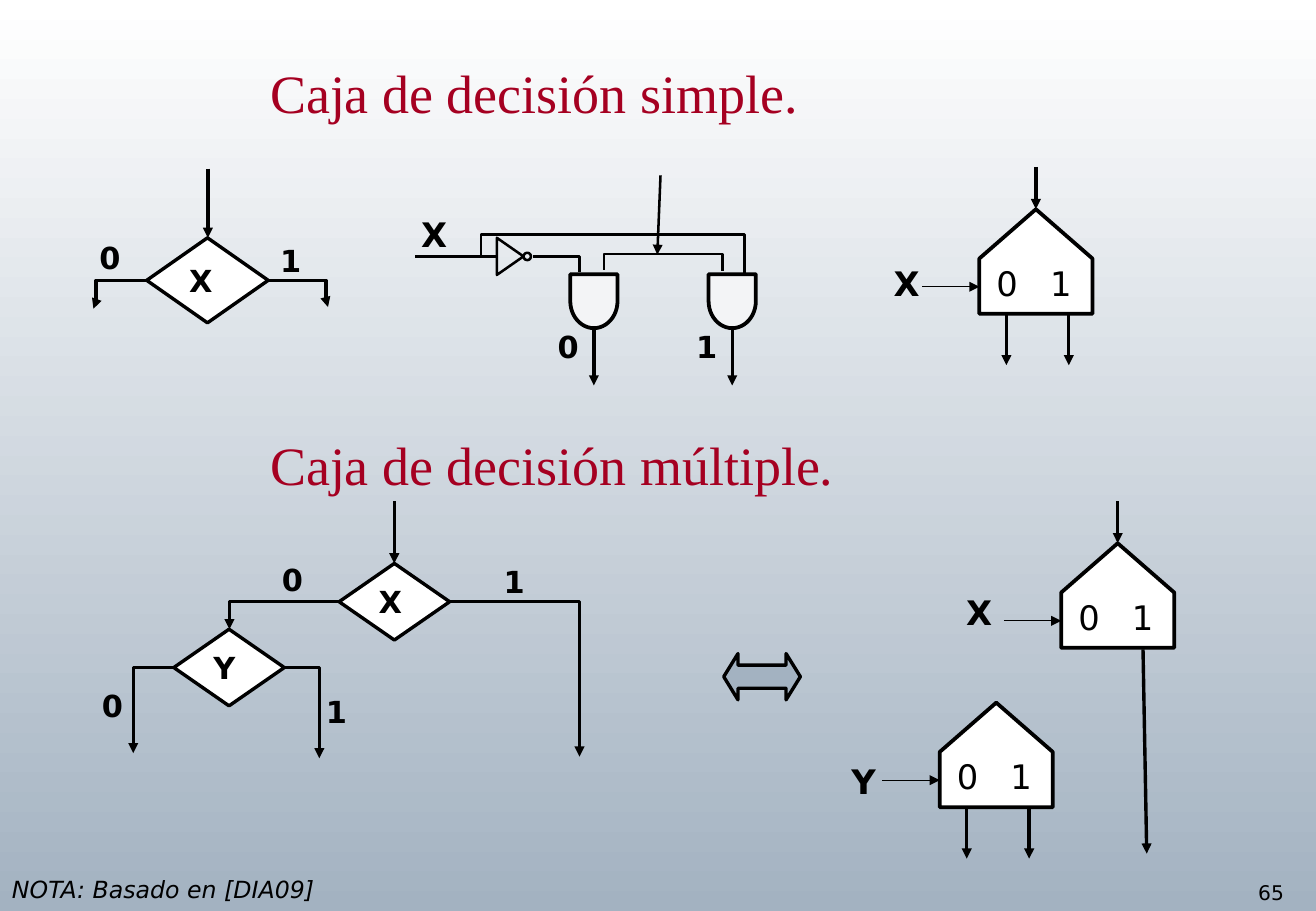
from lxml.etree import SubElement
from pptx import Presentation
from pptx.dml.color import RGBColor
from pptx.enum.shapes import MSO_CONNECTOR as Link, MSO_SHAPE as Preset
from pptx.enum.text import MSO_ANCHOR as Anchor, PP_ALIGN as Align
from pptx.oxml.ns import qn
from pptx.util import Pt

BLACK, WHITE, RED, STEEL = "000000", "FFFFFF", "A50021", "A3B2C1"


def color(value):
    return RGBColor.from_string(value)


def write(frame, text, size, shade=BLACK, font="DejaVu Sans", bold=False, italic=False):
    frame.text = text
    para = frame.paragraphs[0]
    para.alignment = Align.LEFT
    for span in para.runs:
        span.font.name, span.font.size = font, Pt(size)
        span.font.bold, span.font.italic = bold, italic
        span.font.color.rgb = color(shade)
    return para


def add_text(page, text, left, top, width=32, height=29, size=18, **style):
    box = page.shapes.add_textbox(Pt(left), Pt(top), Pt(width), Pt(height))
    box.text_frame.word_wrap = True
    return write(box.text_frame, text, size, **style)


def outline(shape, fill, weight):
    shape.shadow.inherit = False
    if fill:
        shape.fill.solid()
        shape.fill.fore_color.rgb = color(fill)
    else:
        shape.fill.background()
    shape.line.color.rgb = color(BLACK)
    shape.line.width = Pt(weight)


def add_preset(page, preset, left, top, width, height, fill=WHITE, weight=2.25):
    shape = page.shapes.add_shape(preset, Pt(left), Pt(top), Pt(width), Pt(height))
    outline(shape, fill, weight)
    return shape


def add_path(page, left, top, points, closed=False):
    corners = [(Pt(left + x), Pt(top + y)) for x, y in points]
    builder = page.shapes.build_freeform(*corners[0], scale=1.0)
    builder.add_line_segments(corners[1:], close=closed)
    outline(builder.convert_to_shape(), None, 1.5)


def add_wire(page, left, top, start, end, weight=2, arrow=True, kind=Link.STRAIGHT):
    ends = [Pt(left + start[0]), Pt(top + start[1]), Pt(left + end[0]), Pt(top + end[1])]
    wire = page.shapes.add_connector(kind, *ends)
    wire.line.color.rgb = color(BLACK)
    wire.line.width = Pt(weight)
    if arrow:
        SubElement(wire.line._get_or_add_ln(), qn("a:tailEnd"), type="triangle")
    SubElement(wire._element.spPr, qn("a:effectLst"))
    return wire


def add_elbow(page, left, top, start, end, turn=None, **style):
    """Wire that runs sideways, then down; turn is the share of the width before a late bend."""
    wire = add_wire(page, left, top, start, end, kind=Link.ELBOW, **style)
    geometry = wire._element.spPr.find(qn("a:prstGeom"))
    if turn is None:
        geometry.set("prst", "bentConnector2")
    else:
        guides = geometry.find(qn("a:avLst"))
        SubElement(guides, qn("a:gd"), name="adj1", fmla=f"val {round(turn * 100000)}")


def add_decision(page, name, left, top, width, height):
    diamond = add_preset(page, Preset.FLOWCHART_DECISION, left, top, width, height, weight=2)
    frame = diamond.text_frame
    frame.word_wrap = False
    frame.vertical_anchor = Anchor.MIDDLE
    write(frame, name, 18, bold=True)


def add_digits(page, left, top, digits):
    for text, x, y in digits:
        add_text(page, text, left + x, top + y, bold=True)


def simple_flowchart(page, left, top):
    add_decision(page, "X", left + 37, top + 41, 72, 50.4)
    add_wire(page, left, top, (73.2, 0), (73.2, 41))
    add_elbow(page, left, top, (37, 66.2), (5.4, 83), turn=0.95)
    add_elbow(page, left, top, (109, 66.2), (144.4, 82), turn=0.965)
    add_digits(page, left, top, [("0", 1.8, 38), ("1", 109, 40)])


def gate_circuit(page, left, top):
    """Inverter and two gates that steer the entry by X."""
    add_text(page, "X", left + 2.6, top + 23, size=20, bold=True)
    add_wire(page, left, top, (6, 52), (54.5, 52), weight=1.5, arrow=False)
    add_path(page, left, top, [(54.5, 41), (70.3, 52), (54.5, 63)], closed=True)
    add_preset(page, Preset.OVAL, left + 70.3, top + 49.8, 4.4, 4.4, fill=None, weight=1.5)
    add_elbow(page, left, top, (76, 52), (103.4, 61.5), weight=1.5, arrow=False)
    add_path(page, left, top, [(45, 52), (45, 39), (201.2, 39), (201.2, 63)])
    add_path(page, left, top, [(118, 60), (118, 50.5), (188.2, 50.5), (188.2, 60.5)])
    add_wire(page, left, top, (151.5, 4), (149.6, 51), weight=1.5)
    for digit, center in (("0", 112), ("1", 194)):
        gate = add_preset(page, Preset.FLOWCHART_DELAY, left + center - 16, top + 64.5, 32, 28)
        gate.rotation = 90
        gate.fill.fore_color.rgb = color("F3F4F6")
        add_wire(page, left, top, (center, 95), (center, 128.5))
        add_digits(page, left, top, [(digit, center - 28.5, 91)])


def selector(page, left, top, name, name_at, entry=True, exits=True):
    """House-shaped decision box; left and top are the corner of its outline."""
    width, height = 67, 62
    house = add_preset(page, Preset.PENTAGON, left + (width - height) / 2,
                       top + (height - width) / 2, height, width)
    house.adjustments[0] = 0.471
    house.rotation = 270
    para = add_text(page, "0\t1", left + 3, top + 28, width=62, height=31, size=20)
    tabs = SubElement(para._p.get_or_add_pPr(), qn("a:tabLst"))
    SubElement(tabs, qn("a:tab"), pos=str(Pt(31.8)), algn="l")
    add_text(page, name, left + name_at[0], top + name_at[1], size=20, bold=True)
    add_wire(page, left, top, (-34, 46), (0, 46), weight=0.75)
    if entry:
        add_wire(page, left, top, (33.5, -25), (33.5, 0))
    if exits:
        for x in (16, 53):
            add_wire(page, left, top, (x, height), (x, height + 30.5))


def multiple_flowchart(page, left, top):
    add_decision(page, "X", left + 151, top + 37, 65.5, 45.4)
    add_decision(page, "Y", left + 53, top + 76, 65.5, 45.4)
    add_wire(page, left, top, (183.7, 0), (183.7, 37))
    for start, end in (((151, 59.5), (86, 76)), ((216.5, 59.5), (293.5, 151.5)),
                       ((53, 98.5), (29, 149.5)), ((118.5, 98.5), (139.3, 152.5))):
        add_elbow(page, left, top, start, end)
    add_digits(page, left, top, [("0", 110, 32), ("1", 241.5, 33.5),
                                 ("0", 3.3, 106.5), ("1", 136, 110.5)])


def selector_tree(page, left, top):
    selector(page, left + 72, top, "X", (-63.5, 25.5), exits=False)
    selector(page, left, top + 94.5, "Y", (-59.4, 31), entry=False)
    add_wire(page, left, top, (120.5, 63), (122.7, 184))


def equivalence_arrow(page, left, top):
    arrow = add_preset(page, Preset.LEFT_RIGHT_ARROW, left, top, 45.4, 27.4, STEEL, 2)
    arrow.adjustments[0], arrow.adjustments[1] = 0.5, 0.309


def paint_background(page):
    fill = page.background.fill
    fill.gradient()
    fill.gradient_angle = 270
    for stop, shade in zip(fill.gradient_stops, (WHITE, STEEL)):
        stop.color.rgb = color(shade)


def main():
    deck = Presentation()
    deck.slide_width, deck.slide_height = Pt(780), Pt(540)
    page = deck.slides.add_slide(deck.slide_layouts[6])
    paint_background(page)
    for title, top in (("Caja de decisión simple.", 32), ("Caja de decisión múltiple.", 252)):
        add_text(page, title, 153, top, 410, 50, 32, shade=RED, font="Times New Roman")
    simple_flowchart(page, 50, 100)
    gate_circuit(page, 240, 100)
    selector(page, 580.5, 124, "X", (-58, 28))
    multiple_flowchart(page, 50, 297)
    equivalence_arrow(page, 429, 387.4)
    selector_tree(page, 557, 322)
    add_text(page, "NOTA: Basado en [DIA09]", 0, 515, 207, 24, 14, italic=True)
    add_text(page, "65", 738.7, 518.4, 41, 21, 12)
    deck.save("out.pptx")


if __name__ == "__main__":
    main()
